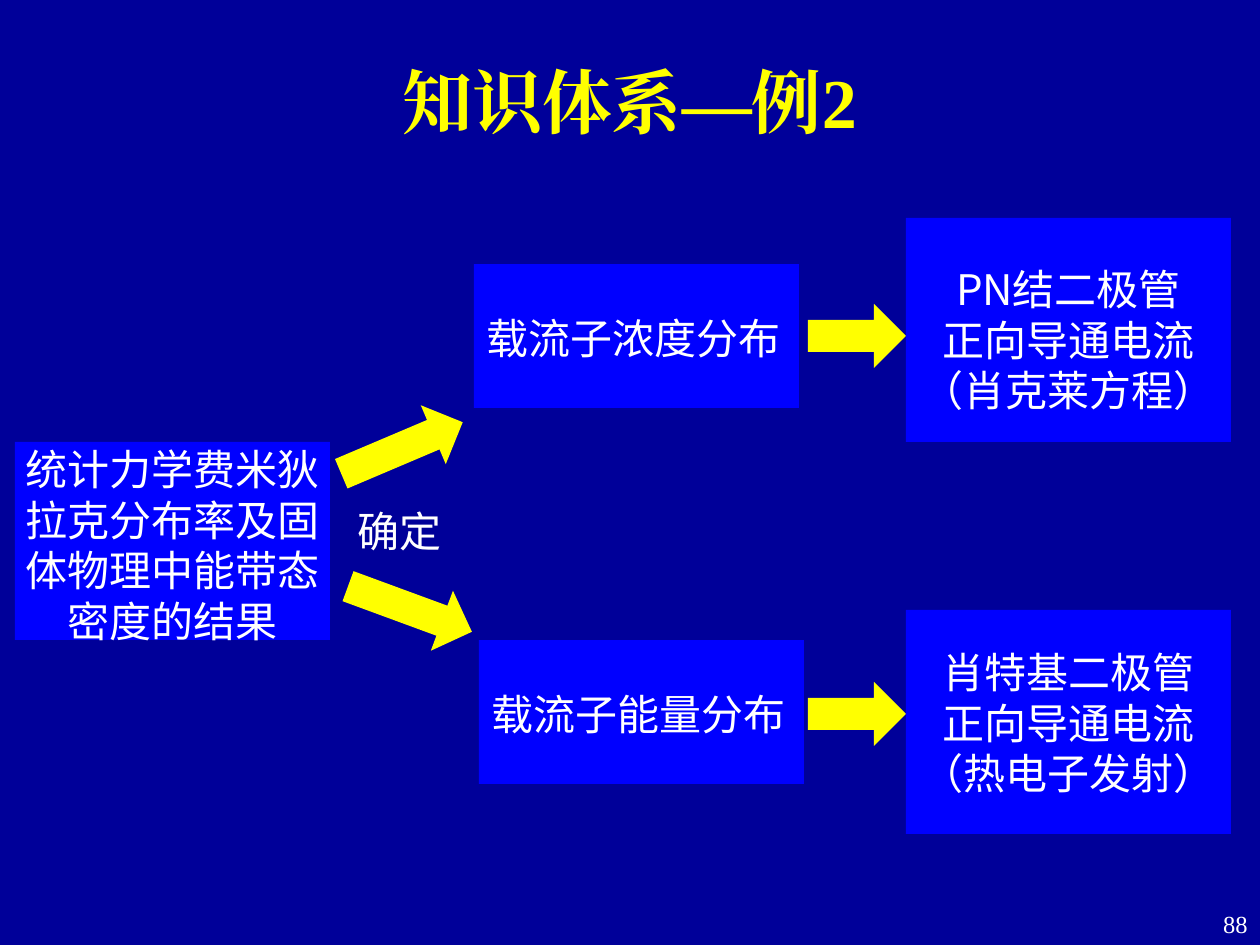
import pptx
import pptx.dml.color
import pptx.enum.shapes
import pptx.enum.text
import pptx.oxml
import pptx.oxml.ns
import pptx.util

NAVY = pptx.dml.color.RGBColor(0x00, 0x00, 0x99)
BLUE = pptx.dml.color.RGBColor(0x00, 0x00, 0xFF)
YELLOW = pptx.dml.color.RGBColor(0xFF, 0xFF, 0x00)
WHITE = pptx.dml.color.RGBColor(0xFF, 0xFF, 0xFF)
SANS = "Noto Sans CJK SC"
SERIF = "Times New Roman"
SHAPE = pptx.enum.shapes.MSO_SHAPE
ALIGN = pptx.enum.text.PP_ALIGN
ANCHOR = pptx.enum.text.MSO_ANCHOR


def px(length):
    return pptx.util.Emu(round(length * 914400 / 126))


class Diagram:
    def __init__(self, slide):
        self.slide = slide
        slide.background.fill.solid()
        slide.background.fill.fore_color.rgb = NAVY

    def shape(self, kind, place, color):
        shape = self.slide.shapes.add_shape(kind, *map(px, place))
        shape.shadow.inherit = False
        shape.fill.solid()
        shape.fill.fore_color.rgb = color
        shape.line.fill.background()
        return shape

    def block(self, place):
        return self.shape(SHAPE.RECTANGLE, place, BLUE)

    def arrow(self, place, rotation=0):
        self.shape(SHAPE.RIGHT_ARROW, place, YELLOW).rotation = rotation

    def text(self, place, lines, size, face, color, align, bold=False):
        box = self.slide.shapes.add_textbox(*map(px, place))
        frame = box.text_frame
        frame.word_wrap = True
        frame.vertical_anchor = ANCHOR.MIDDLE
        for index, line in enumerate(lines):
            para = frame.paragraphs[0] if index == 0 else frame.add_paragraph()
            para.alignment = align
            span = para.add_run()
            span.text = line
            span.font.size = pptx.util.Pt(size)
            span.font.name = face
            span.font.bold = bold
            span.font.color.rgb = color
            east_asian = pptx.oxml.parse_xml(
                f'<a:ea {pptx.oxml.ns.nsdecls("a")} typeface="{face}"/>')
            span.font._element.find(pptx.oxml.ns.qn("a:latin")).addnext(east_asian)
        return frame

    def label(self, place, *lines):
        frame = self.text(place, lines, 24, SANS, WHITE, ALIGN.CENTER)
        frame.vertical_anchor = ANCHOR.TOP
        frame.margin_top = px(10)
        frame.margin_bottom = px(2)
        for para in frame.paragraphs:
            para.line_spacing = pptx.util.Pt(29)


def main():
    deck = pptx.Presentation()
    deck.slide_width = px(1260)
    deck.slide_height = px(945)
    page = deck.slides.add_slide(deck.slide_layouts[6])
    diagram = Diagram(page)

    diagram.block((15, 442, 315, 198))
    diagram.label((8, 433, 329, 217), "统计力学费米狄拉克分布率及固体物理中能带态密度的结果")
    diagram.arrow((336, 416, 132, 64), 337)
    diagram.label((336, 495, 127, 63), "确定")
    diagram.arrow((344, 577, 132, 64), 20.2)

    branches = [
        (474, 264, "载流子浓度分布", 304, 218, 253,
         ("PN结二极管", "正向导通电流", "（肖克莱方程）")),
        (479, 640, "载流子能量分布", 682, 610, 636,
         ("肖特基二极管", "正向导通电流", "（热电子发射）")),
    ]
    for left, top, cause, arrow_top, result_top, label_top, result in branches:
        diagram.block((left, top, 325, 144))
        diagram.label((left - 40, top + 38, 399, 63), cause)
        diagram.arrow((808, arrow_top, 98, 64))
        diagram.block((906, result_top, 325, 224))
        diagram.label((906, label_top, 325, 165), *result)

    diagram.text((-1, 45, 1261, 112), ["知识体系—例2"], 40, SERIF, YELLOW,
                 ALIGN.CENTER, bold=True)
    diagram.text((1187, 903, 73, 42), ["88"], 14, SERIF, WHITE, ALIGN.RIGHT)
    deck.save("out.pptx")


if __name__ == "__main__":
    main()
